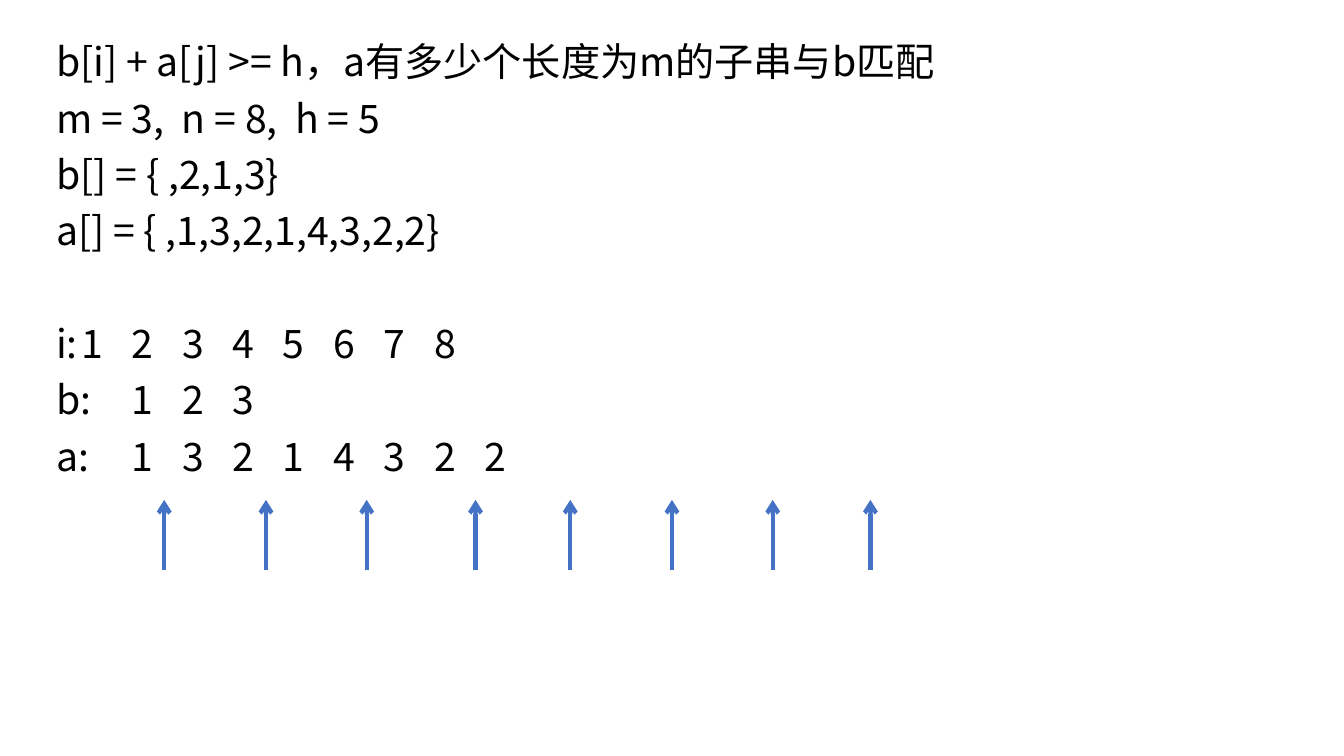
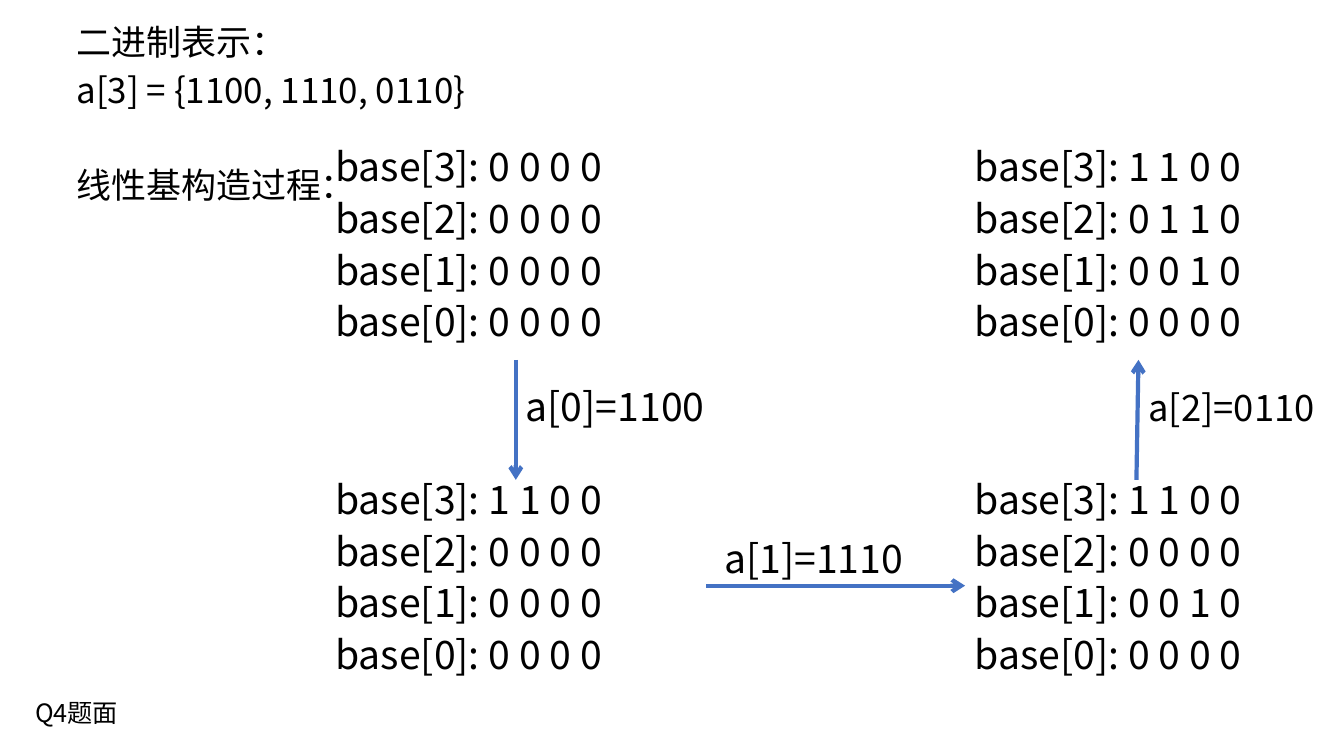
from dataclasses import dataclass

from lxml import etree
from pptx import Presentation
from pptx.dml.color import RGBColor
from pptx.enum.shapes import MSO_CONNECTOR as Connector
from pptx.enum.text import MSO_ANCHOR as Anchor
from pptx.oxml.ns import qn
from pptx.util import Inches, Pt


@dataclass(frozen=True)
class Theme:
    font: str = "Noto Sans CJK SC"
    text: RGBColor = RGBColor(0x00, 0x00, 0x00)
    arrow: RGBColor = RGBColor(0x44, 0x72, 0xC4)
    arrow_width: int = 3
    body: int = 28
    label: int = 26
    heading: int = 25
    note: int = 18
    line_height: float = 1.2
    paragraph_gap: int = 10
    hanging: float = 0.25


THEME = Theme()


@dataclass(frozen=True)
class Box:
    """A region in EMU; places inside it are given in percent of its size."""
    left: int
    top: int
    width: int
    height: int

    def point(self, x, y):
        return (self.left + round(self.width * x / 100),
                self.top + round(self.height * y / 100))

    def region(self, x, y, width, height):
        return Box(*self.point(x, y), round(self.width * width / 100),
                   round(self.height * height / 100))


def add_run(paragraph, text, size):
    run = paragraph.add_run()
    run.text = text
    run.font.size = Pt(size)
    run.font.name = THEME.font
    run.font.color.rgb = THEME.text
    east_asian = etree.SubElement(run._r.get_or_add_rPr(), qn("a:ea"))
    east_asian.set("typeface", THEME.font)


def add_tab_stops(properties):
    tab_list = etree.SubElement(properties, qn("a:tabLst"))
    for column in range(8):
        tab = etree.SubElement(tab_list, qn("a:tab"))
        tab.set("pos", str(Inches(column)))
        tab.set("algn", "l")


def add_text(slide, box, lines, size=THEME.body, spacing=0.8, hanging=True,
             gap_before=None):
    """Write one paragraph a line; gap_before is the line that follows a gap."""
    shape = slide.shapes.add_textbox(box.left, box.top, box.width, box.height)
    frame = shape.text_frame
    frame.word_wrap = True
    frame.vertical_anchor = Anchor.TOP
    line_points = round(size * THEME.line_height * spacing, 2)
    for index, line in enumerate(lines):
        paragraph = frame.add_paragraph() if index else frame.paragraphs[0]
        paragraph.line_spacing = Pt(line_points)
        properties = paragraph._p.get_or_add_pPr()
        if hanging:
            gap = THEME.paragraph_gap
            if index == gap_before:
                gap = 2 * gap + line_points
            paragraph.space_before = Pt(gap)
            properties.set("marL", str(Inches(THEME.hanging)))
            properties.set("indent", str(-Inches(THEME.hanging)))
        add_tab_stops(properties)
        add_run(paragraph, line, size)


def add_arrow(slide, start, end):
    connector = slide.shapes.add_connector(Connector.STRAIGHT, *start, *end)
    connector.line.color.rgb = THEME.arrow
    connector.line.width = Pt(THEME.arrow_width)
    properties = connector._element.spPr
    head = etree.SubElement(properties.find(qn("a:ln")), qn("a:tailEnd"))
    head.set("type", "arrow")
    etree.SubElement(properties, qn("a:effectLst"))


def add_index_arrows(slide, box):
    for x in (9.42, 17.55, 25.6, 34.3, 41.87, 50, 58.05, 65.86):
        add_arrow(slide, box.point(x, 78.25), box.point(x, 67.9))


def build_matching_slide(slide, page):
    box = page.region(3.45, 4.93, 93.1, 90.13)
    rows = {"i": "12345678", "b": "123", "a": "13214322"}
    lines = ["b[i] + a[j] >= h，a有多少个长度为m的子串与b匹配",
             "m = 3,  n = 8,  h = 5",
             "b[] = { ,2,1,3}",
             "a[] = { ,1,3,2,1,4,3,2,2}"]
    table = ["\t".join([f"{name}:", *values]) for name, values in rows.items()]
    add_text(slide, box, lines + table, spacing=0.9, gap_before=len(lines))
    add_index_arrows(slide, box)


def add_basis(slide, box, values):
    """List the basis vectors from the highest bit down."""
    lines = [f"base[{bit}]: {' '.join(value)}"
             for bit, value in zip((3, 2, 1, 0), values)]
    add_text(slide, box, lines)


def add_steps(slide, page, right, upper_end, lower):
    """Draw the arrows that join the four states, with their labels."""
    steps = [
        ("a[0]=1100", (38.38, 51.2), (38.38, upper_end), (38.38, lower),
         THEME.body, 0.8),
        ("a[1]=1110", (53.15, 71.33), (52.55, 77.47), (right, 77.47),
         THEME.body, 0.8),
        ("a[2]=0110", (84.71, 50.8), (84.56, lower), (84.71, upper_end),
         THEME.label, 0.9),
    ]
    for text, corner, start, end, size, spacing in steps:
        add_text(slide, page.region(*corner, 15, 6.93), [text], size, spacing)
        add_arrow(slide, page.point(*start), page.point(*end))


def build_basis_slide(slide, page):
    add_text(slide, page.region(4.95, 3.2, 82.91, 24.8),
             ["二进制表示：", "a[3] = {1100, 1110, 0110}", "线性基构造过程："],
             THEME.heading, gap_before=2)
    left, right = 24.21, 71.81
    upper, lower = 19.47, 63.47
    width, height = 25.7, 28.13
    states = [
        (left, upper, ("0000", "0000", "0000", "0000")),
        (left, lower, ("1100", "0000", "0000", "0000")),
        (right, upper, ("1100", "0110", "0010", "0000")),
        (right, lower, ("1100", "0000", "0010", "0000")),
    ]
    for x, y, values in states:
        add_basis(slide, page.region(x, y, width, height), values)
    add_steps(slide, page, right, upper + height, lower)
    add_text(slide, page.region(1.87, 91.6, 11.54, 5.33), ["Q4题面"],
             THEME.note, spacing=1, hanging=False)


def main():
    presentation = Presentation()
    presentation.slide_width = Inches(13.34)
    presentation.slide_height = Inches(7.5)
    page = Box(0, 0, presentation.slide_width, presentation.slide_height)
    blank = presentation.slide_layouts[6]
    for build in (build_matching_slide, build_basis_slide):
        build(presentation.slides.add_slide(blank), page)
    presentation.save("out.pptx")


if __name__ == "__main__":
    main()
